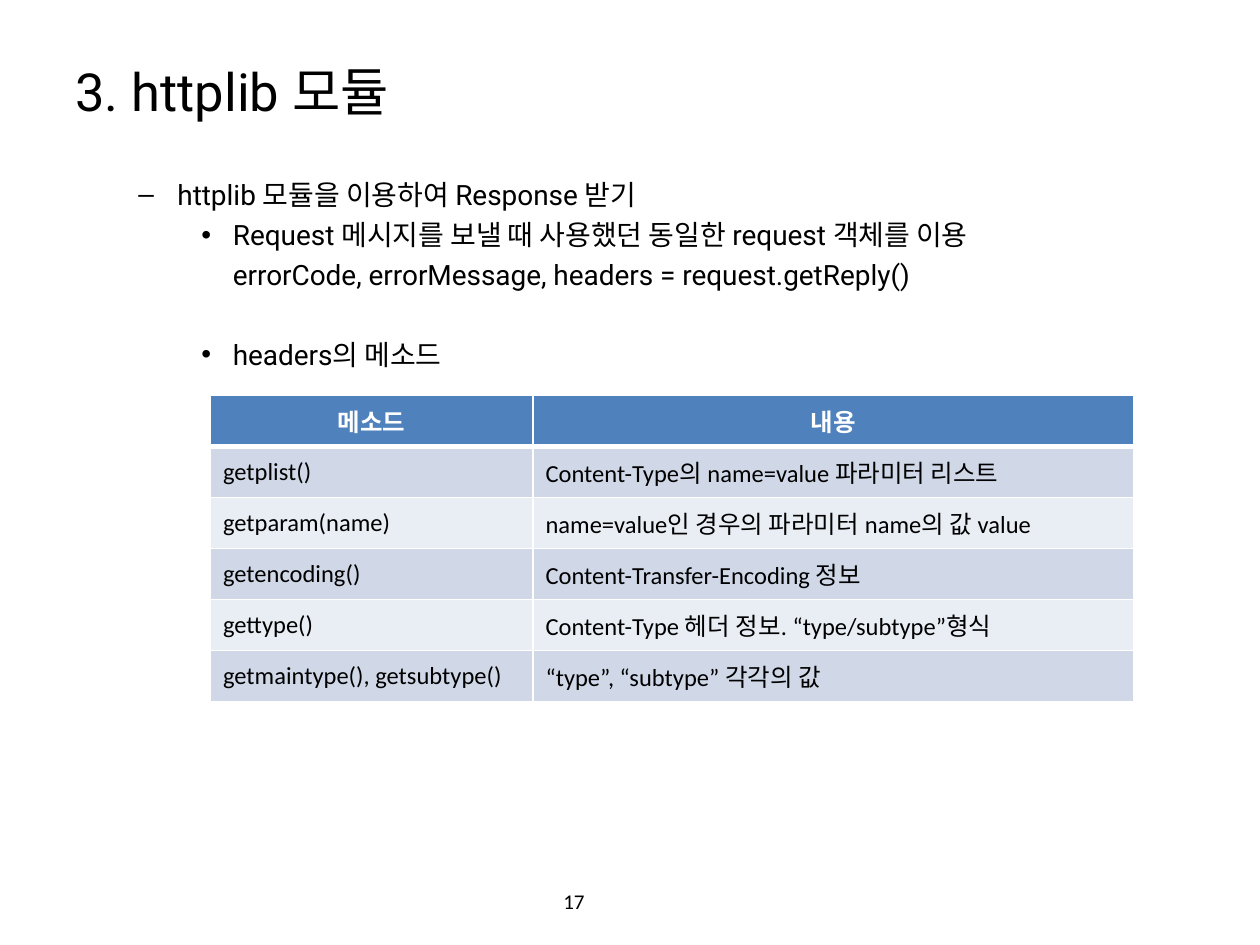
from dataclasses import dataclass

from lxml import etree
from pptx import Presentation
from pptx.dml.color import RGBColor
from pptx.enum.text import MSO_ANCHOR, PP_ALIGN
from pptx.oxml.ns import qn
from pptx.util import Inches, Pt

LEFT, CENTER = PP_ALIGN.LEFT, PP_ALIGN.CENTER
TOP, MIDDLE = MSO_ANCHOR.TOP, MSO_ANCHOR.MIDDLE
BLACK = RGBColor(0x00, 0x00, 0x00)
WHITE = RGBColor(0xFF, 0xFF, 0xFF)
HEADER_BLUE = RGBColor(0x4F, 0x81, 0xBD)
BAND_COLORS = (RGBColor(0xE9, 0xED, 0xF4), RGBColor(0xD0, 0xD8, 0xE8))
HEADING_FONT, TABLE_FONT = "Roboto", "Calibri"
COLUMN_WIDTHS = (2.56, 4.77)
TABLE_HEIGHT = 2.43


@dataclass
class OutlineItem:
    text: str
    level: int
    margin: float
    hanging: float
    bullet: str = ""
    space_before: float = 3.8


OUTLINE = (
    OutlineItem("httplib 모듈을 이용하여 Response 받기", 1, 0.81, 0.31, "–", 0),
    OutlineItem("Request 메시지를 보낼 때 사용했던 동일한 request 객체를 이용",
                2, 1.25, 0.25, "•"),
    OutlineItem("errorCode, errorMessage, headers = request.getReply()",
                2, 1.25, 0),
    OutlineItem("headers의 메소드", 2, 1.25, 0.25, "•", 26.3),
)

METHOD_ROWS = (
    ("메소드", "내용"),
    ("getplist()", "Content-Type의 name=value 파라미터 리스트"),
    ("getparam(name)", "name=value인 경우의 파라미터 name의 값 value"),
    ("getencoding()", "Content-Transfer-Encoding 정보"),
    ("gettype()", "Content-Type 헤더 정보. “type/subtype”형식"),
    ("getmaintype(), getsubtype()", "“type”, “subtype” 각각의 값"),
)


def add_run(paragraph, text: str, font: str, size: float,
            color: RGBColor = BLACK, bold: bool = False) -> None:
    run = paragraph.add_run()
    run.text = text
    run.font.name = font
    run.font.size = Pt(size)
    run.font.color.rgb = color
    run.font.bold = bold


def add_frame(slide, left: float, top: float, width: float, height: float,
              anchor: MSO_ANCHOR):
    """Add a wrapping text box and return its text frame."""
    box = slide.shapes.add_textbox(Inches(left), Inches(top),
                                   Inches(width), Inches(height))
    frame = box.text_frame
    frame.word_wrap = True
    frame.vertical_anchor = anchor
    return frame


def add_outline(slide, items: tuple[OutlineItem, ...]) -> None:
    frame = add_frame(slide, 0.5, 1.36, 9, 5.34, TOP)
    for index, item in enumerate(items):
        paragraph = frame.add_paragraph() if index else frame.paragraphs[0]
        paragraph.level = item.level
        paragraph.space_before = Pt(item.space_before)
        properties = paragraph._p.get_or_add_pPr()
        properties.set("marL", str(Inches(item.margin)))
        properties.set("indent", str(-Inches(item.hanging)))
        if item.bullet:
            etree.SubElement(properties, qn("a:buFont"), typeface="Arial")
            etree.SubElement(properties, qn("a:buChar"), char=item.bullet)
        else:
            etree.SubElement(properties, qn("a:buNone"))
        add_run(paragraph, item.text, HEADING_FONT, 16)


def set_borders(cell, top: float, bottom: float) -> None:
    """Give the cell white borders, 1 pt wide at the sides."""
    properties = cell._tc.get_or_add_tcPr()
    widths = {"a:lnL": 1, "a:lnR": 1, "a:lnT": top, "a:lnB": bottom}
    for position, (tag, width) in enumerate(widths.items()):
        line = etree.Element(qn(tag), w=str(Pt(width)))
        fill = etree.SubElement(line, qn("a:solidFill"))
        etree.SubElement(fill, qn("a:srgbClr"), val=str(WHITE))
        properties.insert(position, line)


def add_method_table(slide, rows: tuple[tuple[str, str], ...]) -> None:
    table = slide.shapes.add_table(
        len(rows), len(COLUMN_WIDTHS), Inches(1.67), Inches(3.14),
        Inches(sum(COLUMN_WIDTHS)), Inches(TABLE_HEIGHT)).table
    for column, width in zip(table.columns, COLUMN_WIDTHS):
        column.width = Inches(width)
    for row_index, texts in enumerate(rows):
        is_header = row_index == 0
        for column_index, text in enumerate(texts):
            cell = table.cell(row_index, column_index)
            cell.vertical_anchor = MIDDLE
            cell.fill.solid()
            cell.fill.fore_color.rgb = (
                HEADER_BLUE if is_header else BAND_COLORS[row_index % 2])
            set_borders(cell, top=3 if row_index == 1 else 1,
                        bottom=3 if is_header else 1)
            paragraph = cell.text_frame.paragraphs[0]
            paragraph.alignment = CENTER if is_header else LEFT
            add_run(paragraph, text, TABLE_FONT, 14,
                    WHITE if is_header else BLACK, is_header)


def main() -> None:
    presentation = Presentation()
    presentation.slide_width = Inches(10)
    presentation.slide_height = Inches(7.5)
    slide = presentation.slides.add_slide(presentation.slide_layouts[6])

    title = add_frame(slide, 0.5, 0.3, 9, 0.84, MIDDLE).paragraphs[0]
    add_run(title, "3. httplib 모듈", HEADING_FONT, 30)
    add_outline(slide, OUTLINE)
    page_number = add_frame(slide, 3.39, 6.95, 2.33, 0.4, MIDDLE).paragraphs[0]
    page_number.alignment = CENTER
    add_run(page_number, "17", TABLE_FONT, 12)
    add_method_table(slide, METHOD_ROWS)

    presentation.save("out.pptx")


if __name__ == "__main__":
    main()
